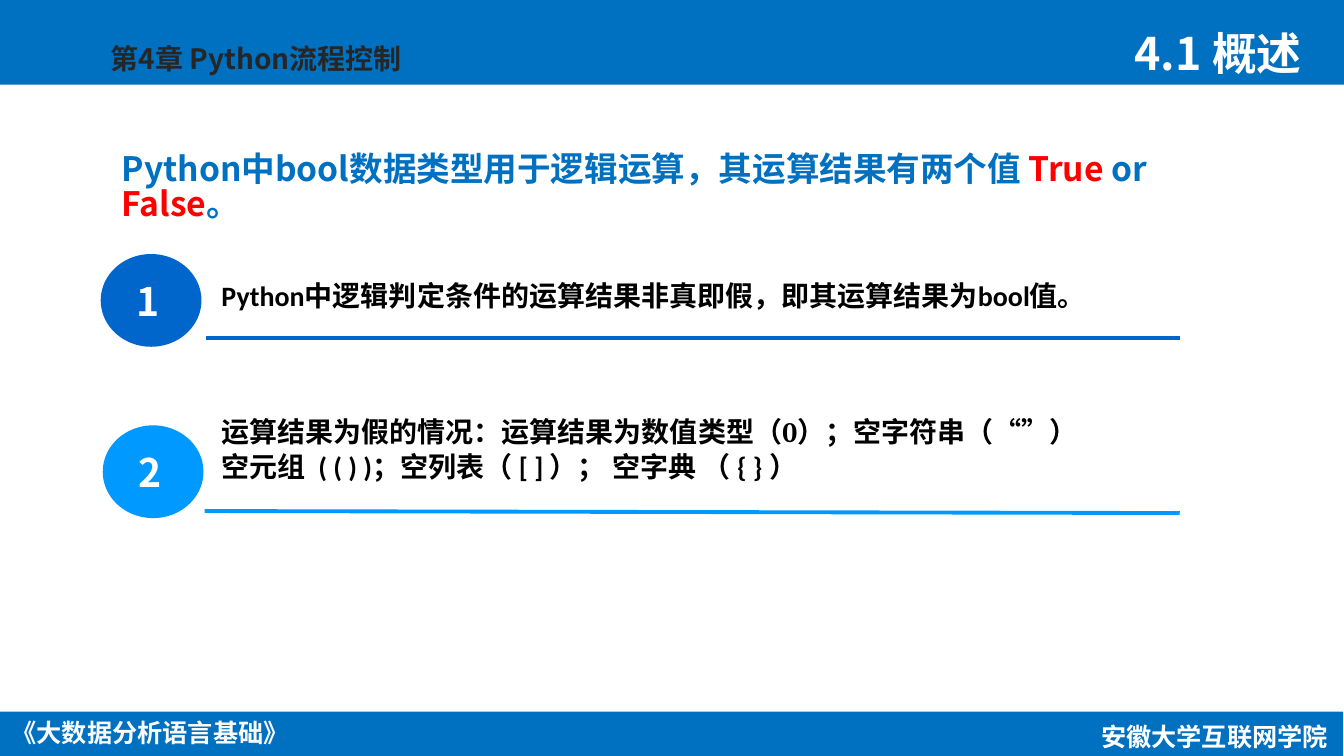
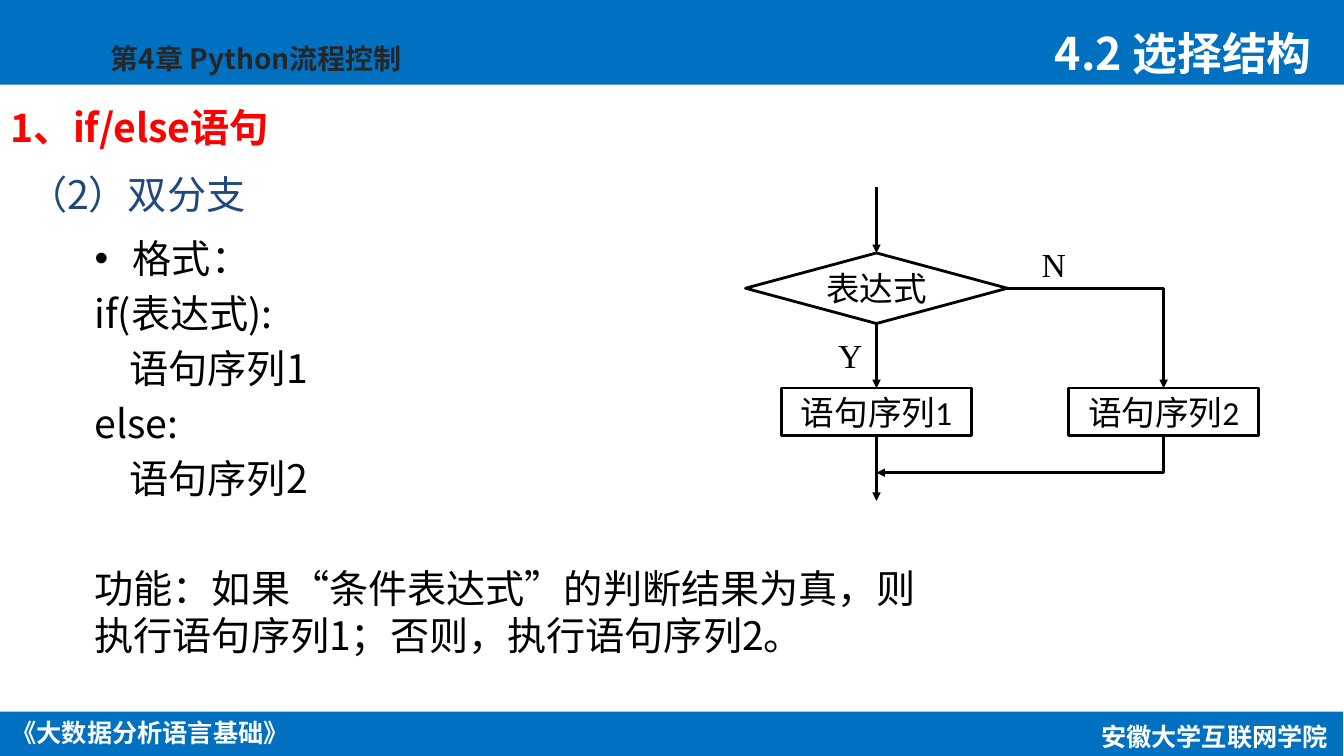
from lxml import etree
from pptx import Presentation
from pptx import util as u
from pptx.dml.color import RGBColor
from pptx.enum import shapes, text
from pptx.oxml.ns import qn

BLUE, WHITE, BLACK, RED = "0070C0", "FFFFFF", "000000", "FF0000"
SANS = "Noto Sans CJK SC"
LEFT, CENTER = text.PP_ALIGN.LEFT, text.PP_ALIGN.CENTER
TOP, MIDDLE, BOTTOM = (text.MSO_ANCHOR.TOP, text.MSO_ANCHOR.MIDDLE,
                       text.MSO_ANCHOR.BOTTOM)


def rgb(color):
    """Turn a hex string into a colour."""
    return RGBColor.from_string(color)


def inches(*lengths):
    """Turn plain numbers into lengths."""
    return [u.Inches(length) for length in lengths]


def format_run(run, size, color, bold=False, face=SANS):
    """Format a run, with one East Asian face throughout."""
    run.font.size, run.font.bold, run.font.name = u.Pt(size), bold, face
    run.font.color.rgb = rgb(color)
    east_asian = etree.SubElement(run._r.get_or_add_rPr(), qn("a:ea"))
    east_asian.set("typeface", SANS)


def write(frame, lines, size, color, bold=False, face=SANS, align=LEFT,
          anchor=TOP, wrap=True, spacing=None, indent=0):
    """Fill a frame with lines; a line is text or (text, changes) parts."""
    frame.word_wrap, frame.vertical_anchor = wrap, anchor
    frame.auto_size = text.MSO_AUTO_SIZE.NONE
    for number, line in enumerate(lines):
        paragraph = frame.add_paragraph() if number else frame.paragraphs[0]
        paragraph.alignment = align
        paragraph.line_spacing = spacing
        if indent:
            paragraph._p.get_or_add_pPr().set("marL", str(u.Inches(indent)))
        parts = [(line, {})] if isinstance(line, str) else line
        for words, changes in parts:
            run = paragraph.add_run()
            run.text = words
            style = dict(size=size, color=color, bold=bold, face=face)
            format_run(run, **{**style, **changes})


def add_text(slide, place, lines, size, color, **style):
    """Add a text box."""
    box = slide.shapes.add_textbox(*inches(*place))
    write(box.text_frame, lines, size, color, **style)
    return box


def add_form(slide, kind, place, fill=None, outline=None):
    """Add a preset shape that is filled or outlined."""
    form = slide.shapes.add_shape(kind, *inches(*place))
    form.shadow.inherit = False
    if fill:
        form.fill.solid()
        form.fill.fore_color.rgb = rgb(fill)
    else:
        form.fill.background()
    if outline:
        form.line.color.rgb, form.line.width = rgb(outline), u.Pt(2)
    else:
        form.line.fill.background()
    return form


def add_line(slide, start, end, color=BLACK, width=2.0, arrow=None, bent=False):
    """Add a straight or once-bent line; arrow is headEnd or tailEnd."""
    line = slide.shapes.add_connector(shapes.MSO_CONNECTOR.STRAIGHT,
                                      *inches(*start, *end))
    line.line.color.rgb, line.line.width = rgb(color), u.Pt(width)
    properties = line._element.spPr
    if bent:
        properties.find(qn("a:prstGeom")).set("prst", "bentConnector2")
    if arrow:
        tip = etree.SubElement(line.line._get_or_add_ln(), qn("a:" + arrow))
        tip.set("type", "triangle")
    etree.SubElement(properties, qn("a:effectLst"))


def add_frame(slide, layout):
    """Draw the bands and captions and move them to the shared layout."""
    bands = [add_form(slide, shapes.MSO_SHAPE.RECTANGLE, place, BLUE)
             for place in ((0, 0, 13.34, 0.84), (-0.01, 7.06, 13.34, 0.45))]
    captions = [
        add_text(slide, (0, 7.07, 2.98, 0.4), ["《大数据分析语言基础》"],
                 18, "FAFAFA", bold=True, align=CENTER, wrap=False),
        add_text(slide, (1, 0.36, 3.78, 0.44), ["第4章 Python流程控制"],
                 20, "262626", bold=True),
        add_text(slide, (10.82, 7.11, 2.47, 0.4), ["安徽大学互联网学院"],
                 18, WHITE, bold=True, align=CENTER, wrap=False)]
    for part in bands + captions:
        layout.shapes.element.append(part._element)


def set_title(slide, words, left, width):
    """Place and format the slide title in the top band."""
    title = slide.shapes.title
    title.left, title.top, title.width, title.height = inches(
        left, 0.21, width, 0.64)
    write(title.text_frame, [words], 32, WHITE, bold=True)


def add_point(slide, number, color, circle, place, lines, rule):
    """Add a numbered circle with its statement and rule."""
    badge = add_form(slide, shapes.MSO_SHAPE.OVAL, (*circle, 1, 0.92), color)
    badge.text_frame.margin_right = u.Inches(0.16)
    write(badge.text_frame, [number], 28, WHITE, bold=True, align=CENTER,
          anchor=MIDDLE)
    add_text(slide, place, lines, 20, BLACK, bold=True, face="Calibri",
             spacing=u.Pt(25), indent=0.31)
    add_line(slide, *rule, color, 2.75)


def build_overview(slide):
    """Build the overview of bool values."""
    set_title(slide, "4.1 概述", 11.16, 2.21)
    red = {"color": RED}
    summary = [("Python中bool数据类型用于逻辑运算，其运算结果有两个值 ", {}),
               ("True", red), (" or ", {}), ("False", red), ("。", {})]
    add_text(slide, (0.8, 1.47, 11.79, 0.45), [summary], 24, BLUE, bold=True,
             spacing=u.Pt(25), indent=0.31)
    add_point(slide, "1", "0066CC", (1, 2.52), (1.79, 2.7, 11.33, 0.45),
              ["Python中逻辑判定条件的运算结果非真即假，即其运算结果为bool值。"],
              ((2.05, 3.35), (11.71, 3.35)))
    false_cases = [("运算结果为假的情况：运算结果为数值类型（", {}),
                   ("0", {"face": "Cambria"}), ("）；空字符串（“”）", {})]
    add_point(slide, "2", "0099FF", (1.02, 4.22), (1.79, 4.05, 9.61, 0.8),
              [false_cases, "空元组  ( ( ) )；空列表（ [ ] ）； 空字典 （ { } ）"],
              ((2.03, 5.07), (11.71, 5.09)))


def add_syntax(slide):
    """Add the if/else format and what it does."""
    syntax = add_text(
        slide, (0.84, 2.28, 8.4, 4.39),
        ["格式：", "if(表达式):", "    语句序列1", "else:", "    语句序列2",
         "功能：如果“条件表达式”的判断结果为真，则执行语句序列1；否则，执行语句序列2。"],
        28, BLACK)
    heading, *rest = syntax.text_frame.paragraphs
    properties = heading._p.get_or_add_pPr()
    properties.set("marL", str(u.Inches(0.38)))
    properties.set("indent", str(u.Inches(-0.38)))
    etree.SubElement(properties, qn("a:buFont")).set("typeface", "Arial")
    etree.SubElement(properties, qn("a:buChar")).set("char", "•")
    for paragraph in rest:
        paragraph.space_before = u.Pt(5.6)
    rest[-1].space_before = u.Pt(45)


def add_flowchart(slide):
    """Draw the two-way branch."""
    yes, no = 8.7, 11.55
    steps = ((shapes.MSO_SHAPE.DIAMOND, "表达式", yes, 2.51, 2.6, 0.7),
             (shapes.MSO_SHAPE.RECTANGLE, "语句序列1", yes, 3.85, 1.89, 0.47),
             (shapes.MSO_SHAPE.RECTANGLE, "语句序列2", no, 3.85, 1.89, 0.47))
    for kind, words, middle, top, width, height in steps:
        step = add_form(slide, kind, (middle - width / 2, top, width, height),
                        outline=BLACK)
        frame = step.text_frame
        frame.margin_left = frame.margin_right = 0
        frame.margin_top = frame.margin_bottom = 0
        write(frame, [words], 24, BLACK, face="Calibri", align=CENTER,
              anchor=MIDDLE, wrap=False)
    for top, bottom in ((1.86, 2.51), (3.21, 3.85), (4.33, 4.97)):
        add_line(slide, (yes, top), (yes, bottom), arrow="tailEnd")
    add_line(slide, (10, 2.86), (no, 3.85), arrow="tailEnd", bent=True)
    add_line(slide, (yes, 4.69), (no, 4.33), arrow="headEnd", bent=True)
    for answer, left, top in (("Y", 8.22, 3.27), ("N", 10.24, 2.37)):
        add_text(slide, (left, top, 0.36, 0.5), [answer], 24, BLACK,
                 face="Times New Roman", wrap=False)


def build_selection(slide):
    """Build the two-way if/else statement."""
    set_title(slide, "4.2 选择结构", 10.37, 3.3)
    add_text(slide, (0.01, 0.84, 3.39, 0.71), ["1、if/else语句"], 28, RED,
             bold=True, anchor=BOTTOM, spacing=0.9)
    add_text(slide, (0.18, 1.51, 3.31, 0.7), ["（2）双分支"], 28, "1F497D",
             anchor=BOTTOM, spacing=0.9)
    add_syntax(slide)
    add_flowchart(slide)


def main():
    """Build and save the slides."""
    deck = Presentation()
    deck.slide_width, deck.slide_height = inches(13.34, 7.5)
    layout = deck.slide_layouts.get_by_name("Title Only")
    overview, selection = [deck.slides.add_slide(layout) for _ in range(2)]
    add_frame(overview, layout)
    build_overview(overview)
    build_selection(selection)
    deck.save("out.pptx")


if __name__ == "__main__":
    main()
